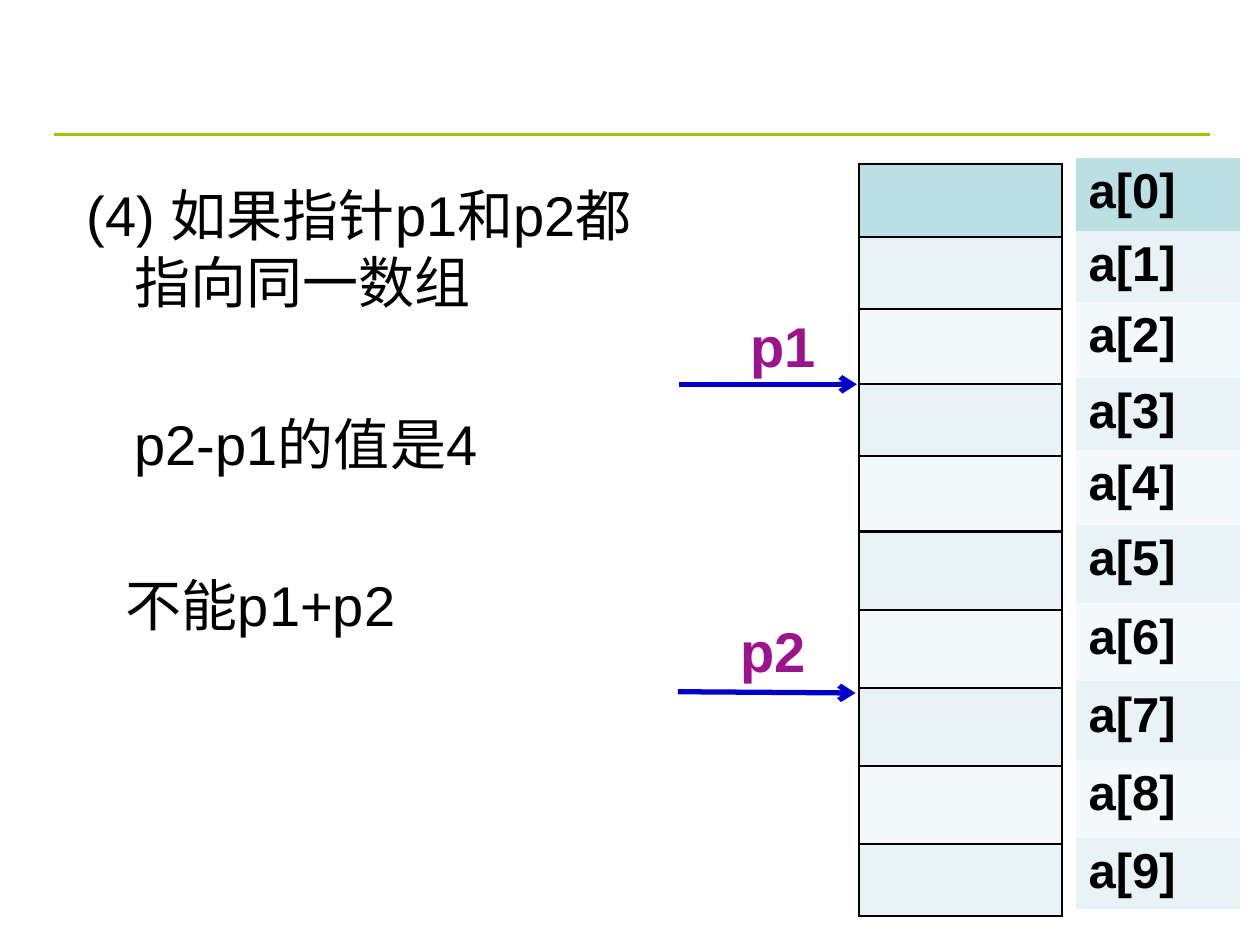
from dataclasses import dataclass

from lxml import etree
from pptx import Presentation
from pptx import util as u
from pptx.dml.color import RGBColor
from pptx.enum import shapes, text
from pptx.oxml import ns

WIDE, HIGH = 10, 7.5
FONT = "Arial"
HUES = {
    "ink": "000000",
    "rule": "99CC00",
    "arrow": "0000CC",
    "name": "9D138D",
    "head": "BBE0E3",
    "odd": "E7F3F4",
    "even": "F3F9FA",
}
ROWS = [0.58, 0.57, 0.6, 0.57, 0.6, 0.62, 0.62, 0.62, 0.62, 0.57]


@dataclass
class Box:
    left: float
    top: float
    width: float
    height: float

    def place(self) -> list:
        return [u.Inches(v) for v in (self.left, self.top, self.width, self.height)]


@dataclass
class Line:
    start: tuple
    end: tuple
    hue: str
    weight: float
    arrow: bool = False


@dataclass
class Part:
    words: str
    indent: float
    hang: float
    before: float


@dataclass
class Label:
    words: str
    box: Box


@dataclass
class Column:
    box: Box
    words: list
    framed: bool


RULE = Line((0.043 * WIDE, 1.07), (0.96 * WIDE, 1.07), "rule", 1.5)
BODY = Box(0.59, 1.38, 4.64, 4.92)
PARTS = [
    Part("(4) 如果指针p1和p2都指向同一数组", 0.38, -0.38, 0),
    Part("p2-p1的值是4", 0.38, 0, 54),
    Part("不能p1+p2", 0.31, 0, 54),
]
COLUMNS = [
    Column(Box(8.54, 1.25, 1.3, sum(ROWS)), [f"a[{i}]" for i in range(len(ROWS))], False),
    Column(Box(6.82, 1.3, 1.61, sum(ROWS)), [""] * len(ROWS), True),
]
LABELS = [
    Label("p1", Box(5.86, 2.42, 0.78, 0.64)),
    Label("p2", Box(5.78, 4.84, 0.94, 0.64)),
]
ARROWS = [
    Line((5.39, 3.05), (6.8, 3.05), "arrow", 3, True),
    Line((5.38, 5.49), (6.79, 5.5), "arrow", 3, True),
]


def tone(key: str) -> RGBColor:
    return RGBColor.from_string(HUES[key])


def add_run(para, words: str, size: float, hue: str, bold: bool = False) -> None:
    run = para.add_run()
    run.text = words
    font = run.font
    font.name, font.size, font.bold = FONT, u.Pt(size), bold
    font.color.rgb = tone(hue)


def add_frame(slide, box: Box):
    frame = slide.shapes.add_textbox(*box.place()).text_frame
    frame.word_wrap = True
    frame.vertical_anchor = text.MSO_ANCHOR.TOP
    return frame


def draw_line(slide, line: Line) -> None:
    ends = [u.Inches(v) for v in (*line.start, *line.end)]
    link = slide.shapes.add_connector(shapes.MSO_CONNECTOR.STRAIGHT, *ends)
    link.line.color.rgb = tone(line.hue)
    link.line.width = u.Pt(line.weight)
    if line.arrow:
        etree.SubElement(link.line._get_or_add_ln(), ns.qn("a:tailEnd"), type="arrow")
    etree.SubElement(link._element.spPr, ns.qn("a:effectLst"))


def draw_body(slide) -> None:
    frame = add_frame(slide, BODY)
    for i, part in enumerate(PARTS):
        para = frame.add_paragraph() if i else frame.paragraphs[0]
        props = para._p.get_or_add_pPr()
        props.set("marL", str(u.Inches(part.indent)))
        props.set("indent", str(u.Inches(part.hang)))
        para.space_before = u.Pt(part.before)
        add_run(para, part.words, 32, "ink")


def set_edges(cell, framed: bool) -> None:
    props = cell._tc.get_or_add_tcPr()
    for side in ("lnL", "lnR", "lnT", "lnB"):
        edge = etree.SubElement(props, ns.qn(f"a:{side}"), w=str(u.Pt(1.47)))
        if framed:
            fill = etree.SubElement(edge, ns.qn("a:solidFill"))
            etree.SubElement(fill, ns.qn("a:srgbClr"), val=HUES["ink"])
        else:
            etree.SubElement(edge, ns.qn("a:noFill"))


def draw_column(slide, column: Column) -> None:
    grid = slide.shapes.add_table(len(ROWS), 1, *column.box.place()).table
    grid.horz_banding = False
    for i, (height, words) in enumerate(zip(ROWS, column.words)):
        grid.rows[i].height = u.Inches(height)
        cell = grid.cell(i, 0)
        set_edges(cell, column.framed)
        cell.fill.solid()
        cell.fill.fore_color.rgb = tone("head" if i == 0 else "odd" if i % 2 else "even")
        if words:
            add_run(cell.text_frame.paragraphs[0], words, 28, "ink", True)


def draw_label(slide, label: Label) -> None:
    frame = add_frame(slide, label.box)
    add_run(frame.paragraphs[0], label.words, 32, "name", True)


def main() -> None:
    deck = Presentation()
    deck.slide_width, deck.slide_height = u.Inches(WIDE), u.Inches(HIGH)
    slide = deck.slides.add_slide(deck.slide_layouts[6])
    draw_line(slide, RULE)
    draw_body(slide)
    for column in COLUMNS:
        draw_column(slide, column)
    for label in LABELS:
        draw_label(slide, label)
    for arrow in ARROWS:
        draw_line(slide, arrow)
    deck.save("out.pptx")


if __name__ == "__main__":
    main()
